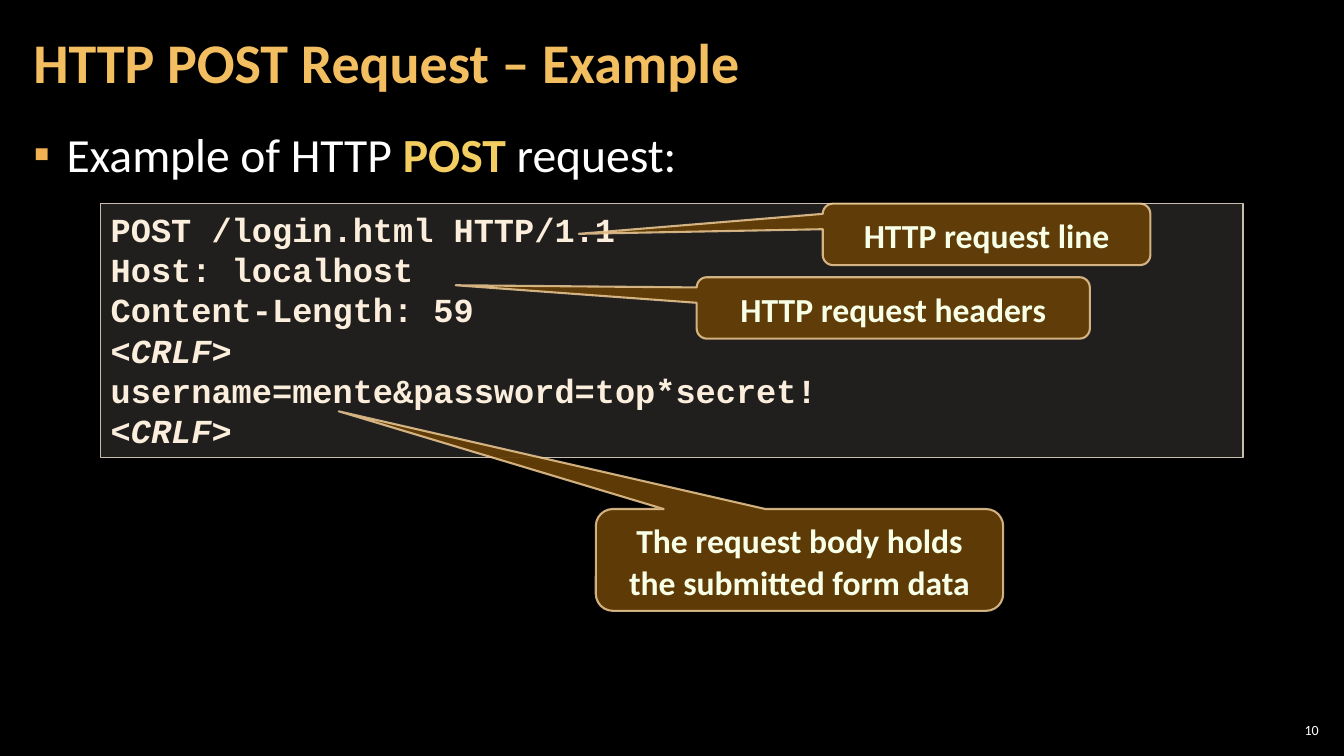
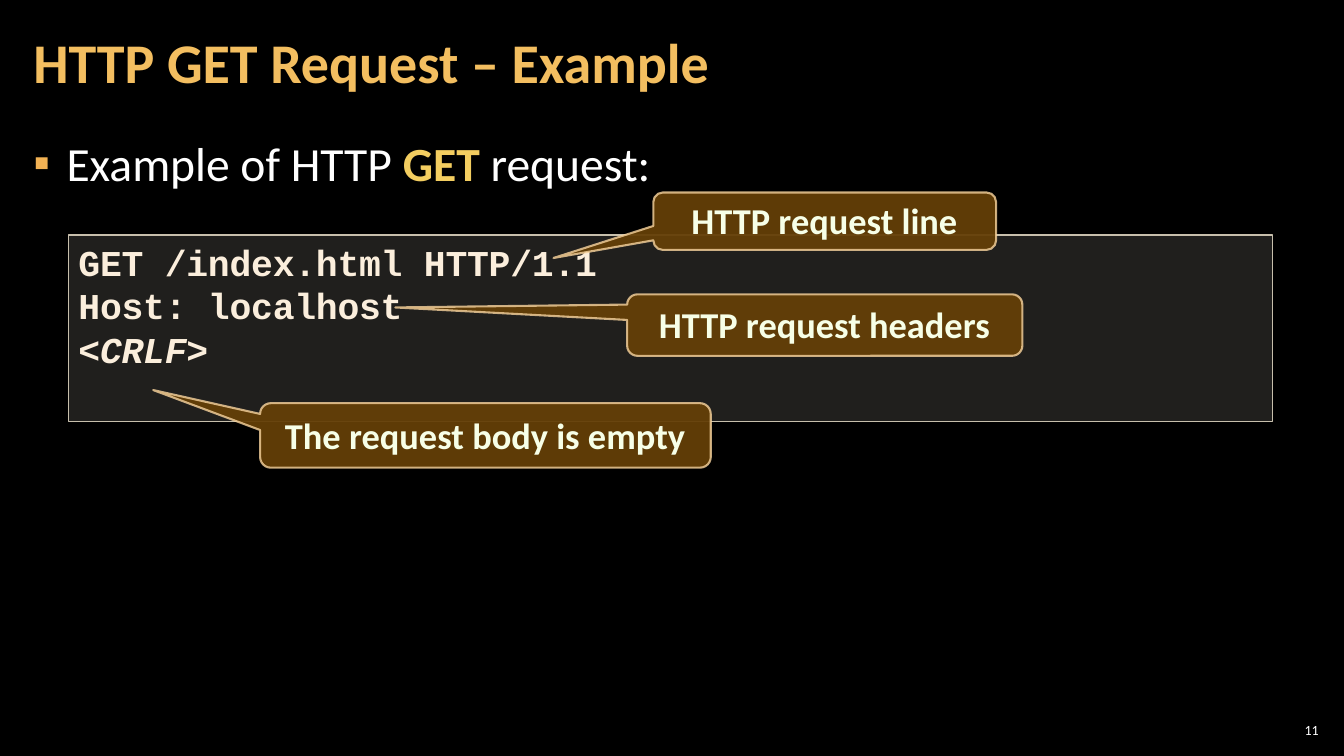
from dataclasses import dataclass
from typing import Any

import pptx
import pptx.dml.color
import pptx.enum.shapes
import pptx.enum.text
import pptx.oxml
import pptx.oxml.ns
import pptx.util
from lxml import etree

Inches = pptx.util.Inches
Pt = pptx.util.Pt
qn = pptx.oxml.ns.qn
Align = pptx.enum.text.PP_ALIGN
Anchor = pptx.enum.text.MSO_ANCHOR
Preset = pptx.enum.shapes.MSO_SHAPE

BACKGROUND = "000000"
WHITE = "FFFFFF"
TITLE_GOLD = "F3BE60"
KEYWORD_GOLD = "F3CD60"
BULLET_ORANGE = "F2B254"
CODE_FILL = "D9D5C7"
CODE_BORDER = "C7BFAC"
CODE_TEXT = "FBEEDC"
CALLOUT_FILL = "643F07"
CALLOUT_BORDER = "F8D49E"
CALLOUT_TEXT = "F7FFE7"
BODY_FONT = "Calibri"
CODE_FONT = "Courier New"
LINE_END = "<CRLF>"


@dataclass(frozen=True)
class Box:
    left: float
    top: float
    width: float
    height: float


@dataclass(frozen=True)
class Callout:
    text: str
    box: Box
    tip_x: float
    tip_y: float


@dataclass(frozen=True)
class Example:
    number: int
    method: str
    body_top: float
    code_box: Box
    code_lines: tuple[str, ...]
    text_size: int
    code_tracking: int
    callouts: tuple[Callout, ...]


EXAMPLES = (
    Example(
        10, "POST", 1.17, Box(1, 2.02, 11.33, 2.52),
        ("POST /login.html HTTP/1.1", "Host: localhost", "Content-Length: 59",
         LINE_END, "username=mente&password=top*secret!", LINE_END),
        24, 0,
        (Callout("HTTP request line", Box(8.16, 2.02, 3.25, 0.61), 5.74, 2.32),
         Callout("HTTP request headers", Box(6.91, 2.75, 3.9, 0.61), 4.52, 2.83),
         Callout("The request body holds the submitted form data",
                 Box(5.91, 5.05, 4.04, 1.01), 3.36, 4.08)),
    ),
    Example(
        11, "GET", 1.26, Box(0.68, 2.33, 11.94, 1.85),
        ("GET /index.html HTTP/1.1", "Host: localhost", LINE_END),
        26, -20,
        (Callout("HTTP request line", Box(6.48, 1.91, 3.4, 0.57), 5.49, 2.56),
         Callout("HTTP request headers", Box(6.22, 2.92, 3.92, 0.61), 3.92, 3.05),
         Callout("The request body is empty", Box(2.58, 4, 4.47, 0.64), 1.52, 3.87)),
    ),
)


def rgb(value: str) -> pptx.dml.color.RGBColor:
    return pptx.dml.color.RGBColor.from_string(value)


def lengths(box: Box) -> tuple[int, int, int, int]:
    return Inches(box.left), Inches(box.top), Inches(box.width), Inches(box.height)


def place(shape: Any, box: Box) -> None:
    shape.left, shape.top, shape.width, shape.height = lengths(box)


def style(font: Any, size: float, color: str, bold: bool = False,
          name: str = BODY_FONT) -> None:
    font.name = name
    font.size = Pt(size)
    font.bold = bold
    font.color.rgb = rgb(color)


def set_frame(frame: Any, anchor: Any, side: float = 0.1, edge: float = 0.05) -> None:
    frame.word_wrap = True
    frame.auto_size = pptx.enum.text.MSO_AUTO_SIZE.NONE
    frame.vertical_anchor = anchor
    frame.margin_left = frame.margin_right = Inches(side)
    frame.margin_top = frame.margin_bottom = Inches(edge)


def set_opacity(parent: Any, percent: int) -> None:
    color = parent.find(qn("a:solidFill")).find(qn("a:srgbClr"))
    etree.SubElement(color, qn("a:alpha")).set("val", str(percent * 1000))


def add_panel(slide: Any, preset: Any, box: Box, fill: str, opacity: int,
              border: str, border_width: float) -> Any:
    panel = slide.shapes.add_shape(preset, *lengths(box))
    panel.shadow.inherit = False
    panel.fill.solid()
    panel.fill.fore_color.rgb = rgb(fill)
    set_opacity(panel.element.spPr, opacity)
    panel.line.color.rgb = rgb(border)
    panel.line.width = Pt(border_width)
    return panel


def add_title(slide: Any, text: str) -> None:
    title = slide.shapes.title
    place(title, Box(0.21, 0.04, 10.47, 1.21))
    set_frame(title.text_frame, Anchor.MIDDLE, 0.12, 0.04)
    title.text_frame.text = text
    heading = title.text_frame.paragraphs[0]
    heading.alignment = Align.LEFT
    heading.line_spacing = 0.9
    style(heading.runs[0].font, 40, TITLE_GOLD, True)


def add_lead(slide: Any, method: str, top: float) -> None:
    body = slide.placeholders[1]
    place(body, Box(0.21, top, 12.91, 6.09))
    set_frame(body.text_frame, Anchor.TOP, 0.12, 0.04)
    lead = body.text_frame.paragraphs[0]
    properties = lead._p.get_or_add_pPr()
    properties.set("marL", str(Inches(0.33)))
    properties.set("indent", str(-Inches(0.33)))
    bullet_color = etree.SubElement(properties, qn("a:buClr"))
    etree.SubElement(bullet_color, qn("a:srgbClr")).set("val", BULLET_ORANGE)
    etree.SubElement(properties, qn("a:buChar")).set("char", "▪")
    lead.line_spacing = 1.05
    lead.space_before = Pt(0)
    lead.space_after = Pt(6)
    for text in ("Example of HTTP ", method, " request:"):
        run = lead.add_run()
        run.text = text
        keyword = text == method
        style(run.font, 34, KEYWORD_GOLD if keyword else WHITE, keyword)


def add_page_number(slide: Any, number: int) -> None:
    page_number = slide.shapes.add_textbox(*lengths(Box(12.65, 7.14, 0.47, 0.21)))
    set_frame(page_number.text_frame, Anchor.MIDDLE, 0.04, 0.04)
    page_number.text_frame.text = str(number)
    paragraph = page_number.text_frame.paragraphs[0]
    paragraph.alignment = Align.RIGHT
    style(paragraph.runs[0].font, 10, WHITE)


def add_code(slide: Any, example: Example) -> None:
    code = add_panel(slide, Preset.RECTANGLE, example.code_box,
                     CODE_FILL, 15, CODE_BORDER, 1)
    set_frame(code.text_frame, Anchor.TOP)
    code.text_frame.text = "\n".join(example.code_lines)
    for paragraph in code.text_frame.paragraphs:
        paragraph.alignment = Align.LEFT
        run = paragraph.runs[0]
        style(run.font, example.text_size, CODE_TEXT, True, CODE_FONT)
        run.font.italic = run.text == LINE_END
        if example.code_tracking:
            run._r.get_or_add_rPr().set("spc", str(example.code_tracking))


def add_callout(slide: Any, callout: Callout, size: int) -> None:
    box = callout.box
    label = add_panel(slide, Preset.ROUNDED_RECTANGULAR_CALLOUT, box,
                      CALLOUT_FILL, 95, CALLOUT_BORDER, 1.5)
    set_opacity(label.element.spPr.find(qn("a:ln")), 80)
    label.adjustments[0] = (callout.tip_x - box.left) / box.width - 0.5
    label.adjustments[1] = (callout.tip_y - box.top) / box.height - 0.5
    set_frame(label.text_frame, Anchor.MIDDLE)
    label.text_frame.text = callout.text
    paragraph = label.text_frame.paragraphs[0]
    paragraph.alignment = Align.CENTER
    paragraph.line_spacing = Pt(30)
    style(paragraph.runs[0].font, size, CALLOUT_TEXT, True)


def main() -> None:
    deck = pptx.Presentation()
    deck.slide_width = Inches(13.33)
    deck.slide_height = Inches(7.5)
    backdrop = deck.slide_master.background.fill
    backdrop.solid()
    backdrop.fore_color.rgb = rgb(BACKGROUND)
    for example in EXAMPLES:
        slide = deck.slides.add_slide(deck.slide_layouts[1])
        add_title(slide, f"HTTP {example.method} Request – Example")
        add_lead(slide, example.method, example.body_top)
        add_page_number(slide, example.number)
        add_code(slide, example)
        for callout in example.callouts:
            add_callout(slide, callout, example.text_size)
    deck.save("out.pptx")


if __name__ == "__main__":
    main()
